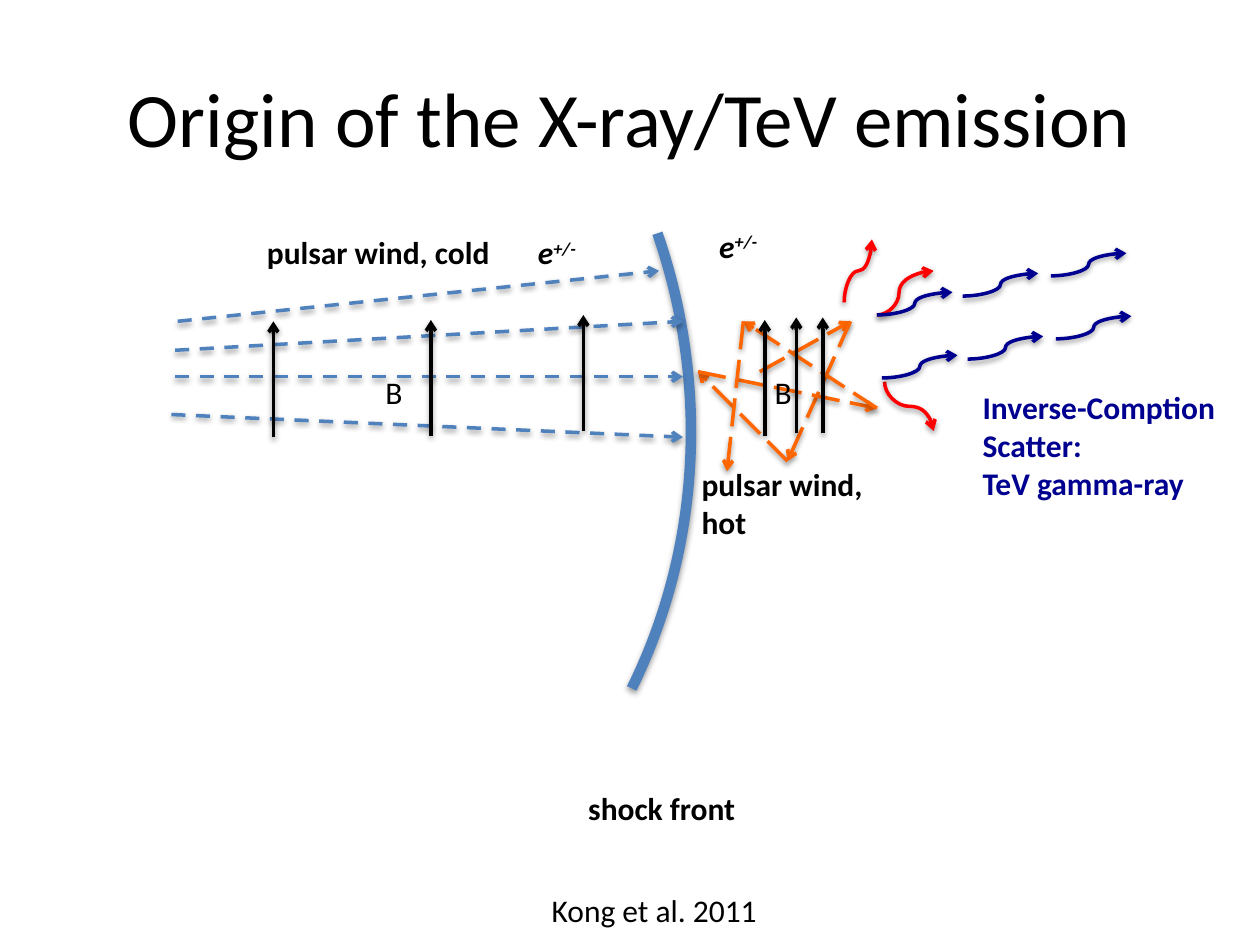
from lxml import etree
from pptx import Presentation, util as u
from pptx.dml.color import RGBColor
from pptx.enum import dml, shapes, text
from pptx.oxml import ns, parse_xml

COLORS = {"black": "000000", "shock": "4F81BD", "hot": "FF6600",
          "xray": "FF0000", "tev": "000090"}

TITLE = ("Origin of the X-ray/TeV emission", 0.5, 0.3, 9, 1.25)
ELECTRON = [[("e", "bold italic"), ("+/-", "bold italic super")]]
LABELS = [
    ([[("shock front", "bold")]], "black", (4.57, 6.21, 1.39, 0.4)),
    ([[("pulsar wind, cold", "bold")]], "black", (2.02, 1.8, 1.99, 0.4)),
    ([[("B", "")]], "black", (2.96, 2.91, 0.34, 0.4)),
    ([[("B", "")]], "black", (6.05, 2.91, 0.34, 0.4)),
    (ELECTRON, "black", (4.17, 1.8, 0.59, 0.4)),
    (ELECTRON, "black", (5.61, 1.75, 0.59, 0.4)),
    ([[("Inverse-Comption", "bold")], [("Scatter:", "bold")],
      [("TeV gamma-ray", "bold")]], "tev", (7.7, 3.03, 2.08, 1.01)),
    ([[("pulsar wind,", "bold")], [("hot", "bold")]], "black", (5.47, 3.64, 1.49, 0.71)),
    ([[("Kong et al. 2011", "")]], "black", (4.28, 7.02, 1.85, 0.4)),
]

SHOCK_PLACE = (-4, -1.37, 9.6, 9.19)
SHOCK_TURN = 49.1
SHOCK_ANGLES = (293.63, 338.88)
HOT_PATH = [(6.03, 2.95), (6.75, 2.55), (6.25, 3.66), (5.54, 2.95),
            (6.96, 3.24), (5.9, 2.55), (5.77, 3.74)]
COLD_WIND = [((1.41, 2.55), (5.23, 2.15)), ((1.39, 2.78), (5.42, 2.55)),
             ((1.39, 2.99), (5.42, 2.99)), ((1.36, 3.29), (5.42, 3.47))]
FIELD_LINES = [(2.17, 3.47), (3.42, 3.46), (4.63, 3.42),
               (6.07, 3.46), (6.32, 3.44), (6.53, 3.44)]
FIELD_HEIGHT = 0.92
XRAYS = [((6.96, 2.5), (7.41, 2.15), False, 0.39),
         ((7.02, 3.03), (7.41, 3.42), True, 0.5),
         ((6.7, 2.4), (6.92, 1.9), True, 0.5)]
TEV_STARTS = [(6.96, 2.5), (7, 3)]
TEV_STEPS = [(0, 0), (0.68, -0.15), (1.38, -0.31)]
TEV_SIZE = (0.6, -0.18)

SHADOW = (f'<a:effectLst {ns.nsdecls("a")}><a:outerShdw blurRad="40000" dist="20000" '
          'dir="5400000" rotWithShape="0"><a:srgbClr val="000000"><a:alpha val="38000"/>'
          '</a:srgbClr></a:outerShdw></a:effectLst>')


def inches(value):
    return u.Cm(value * 2.54)


def color(name):
    return RGBColor.from_string(COLORS[name])


def style_line(shape, name, width):
    shape.line.color.rgb = color(name)
    shape.line.width = u.Pt(width)
    shape._element.spPr.append(parse_xml(SHADOW))


def add_arrow(slide, start, end, name, dash=None, kind=shapes.MSO_CONNECTOR.STRAIGHT):
    arrow = slide.shapes.add_connector(kind, *map(inches, (*start, *end)))
    style_line(arrow, name, 2)
    if dash:
        arrow.line.dash_style = dash
    etree.SubElement(arrow.line._get_or_add_ln(), ns.qn("a:tailEnd"), type="arrow")
    return arrow


def add_wave(slide, start, end, name, upright=False, bend=0.5):
    if upright:
        center = [(a + b) / 2 for a, b in zip(start, end)]
        half_x, half_y = (start[1] - end[1]) / 2, (end[0] - start[0]) / 2
        start = (center[0] - half_x, center[1] - half_y)
        end = (center[0] + half_x, center[1] + half_y)
    wave = add_arrow(slide, start, end, name, kind=shapes.MSO_CONNECTOR.CURVE)
    if upright:
        wave.rotation = 270
    guides = wave._element.spPr.find(ns.qn("a:prstGeom")).get_or_add_avLst()
    etree.SubElement(guides, ns.qn("a:gd"), name="adj1", fmla=f"val {round(bend * 100000)}")


def add_span(para, words, size, name, style=""):
    span = para.add_run()
    span.text = words
    span.font.name = "Calibri"
    span.font.size = u.Pt(size)
    span.font.color.rgb = color(name)
    span.font.bold = "bold" in style
    span.font.italic = "italic" in style
    if "super" in style:
        span.font._element.set("baseline", "30000")


def add_label(slide, lines, name, place):
    box = slide.shapes.add_textbox(*map(inches, place))
    frame = box.text_frame
    frame.word_wrap = False
    frame.auto_size = text.MSO_AUTO_SIZE.SHAPE_TO_FIT_TEXT
    for index, spans in enumerate(lines):
        para = frame.add_paragraph() if index else frame.paragraphs[0]
        for words, style in spans:
            add_span(para, words, 18, name, style)


def add_title(slide, words, *place):
    box = slide.shapes.add_textbox(*map(inches, place))
    frame = box.text_frame
    frame.word_wrap = True
    frame.vertical_anchor = text.MSO_ANCHOR.MIDDLE
    para = frame.paragraphs[0]
    para.alignment = text.PP_ALIGN.CENTER
    add_span(para, words, 44, "black")


def add_shock_front(slide):
    arc = slide.shapes.add_shape(shapes.MSO_SHAPE.ARC, *map(inches, SHOCK_PLACE))
    arc.rotation = SHOCK_TURN
    for index, angle in enumerate(SHOCK_ANGLES):
        arc.adjustments[index] = angle * 0.6
    arc.fill.background()
    style_line(arc, "shock", 6)


def main():
    deck = Presentation()
    deck.slide_width, deck.slide_height = inches(10), inches(7.5)
    slide = deck.slides.add_slide(deck.slide_layouts[6])

    for start, end in zip(HOT_PATH, HOT_PATH[1:]):
        add_arrow(slide, start, end, "hot", dml.MSO_LINE.LONG_DASH)
    add_title(slide, *TITLE)
    add_shock_front(slide)
    for start, end in COLD_WIND:
        add_arrow(slide, start, end, "shock", dml.MSO_LINE.DASH)
    for x, y in FIELD_LINES:
        add_arrow(slide, (x, y), (x, y - FIELD_HEIGHT), "black")
    for start, end, upright, bend in XRAYS:
        add_wave(slide, start, end, "xray", upright, bend)
    for label in LABELS:
        add_label(slide, *label)
    for x, y in TEV_STARTS:
        for dx, dy in TEV_STEPS:
            start = (x + dx, y + dy)
            add_wave(slide, start, (start[0] + TEV_SIZE[0], start[1] + TEV_SIZE[1]), "tev")

    deck.save("out.pptx")


if __name__ == "__main__":
    main()
